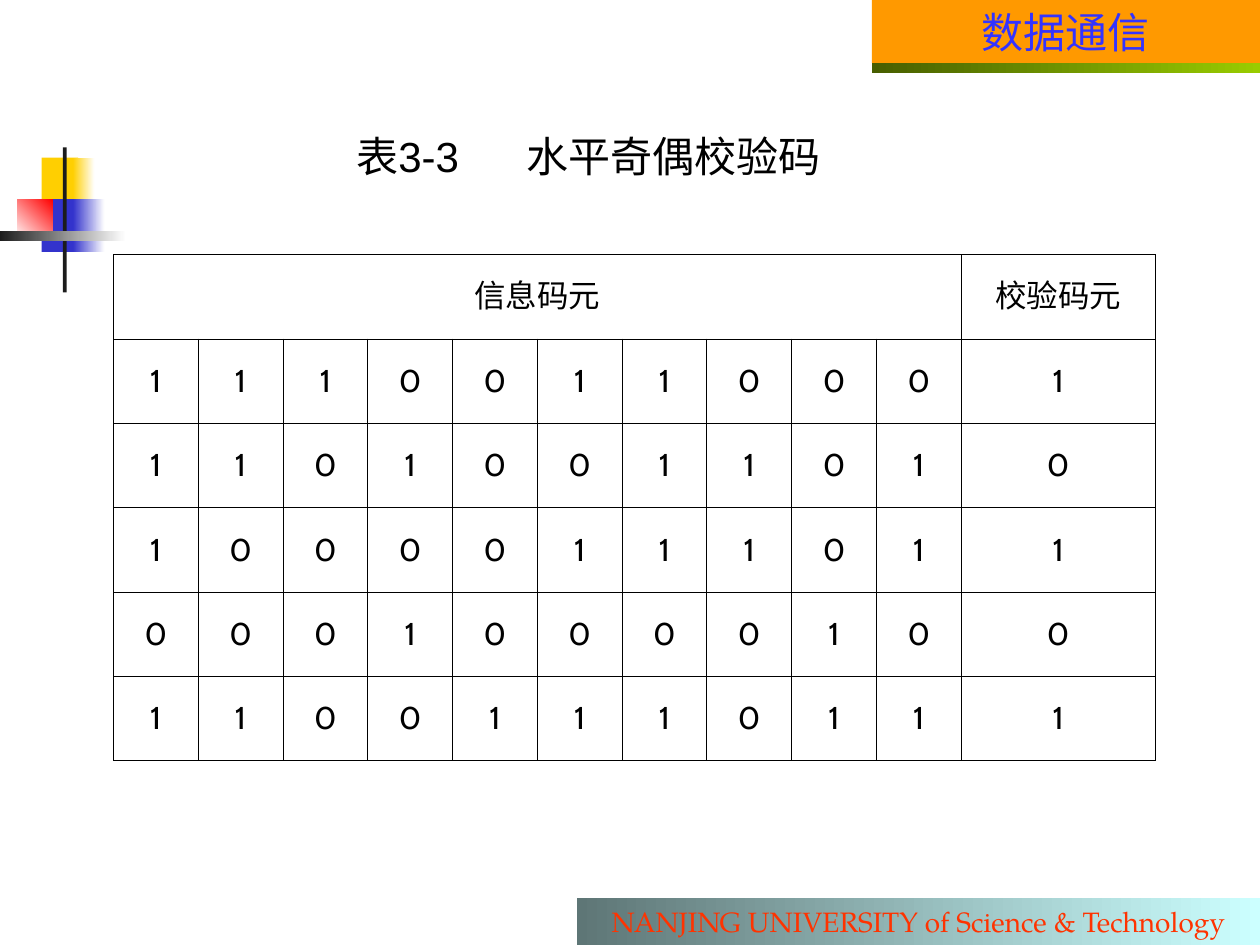
from lxml import etree
from pptx import Presentation
from pptx.dml.color import RGBColor
from pptx.enum.shapes import MSO_SHAPE
from pptx.enum.text import MSO_ANCHOR, PP_ALIGN
from pptx.oxml.ns import qn
from pptx.util import Inches, Pt

RECTANGLE = MSO_SHAPE.RECTANGLE
CENTER = PP_ALIGN.CENTER
MIDDLE = MSO_ANCHOR.MIDDLE

BODY_FONT = "Cabin"
CJK_FONT = "Noto Sans CJK SC"
PARITY_ROWS = [
    "11100110001",
    "11010011010",
    "10000111011",
    "00010000100",
    "11001110111",
]


def rgb(hex_color):
    return RGBColor.from_string(hex_color)


def style_font(font, name, size, color):
    """Set the typeface for both Latin and East Asian characters."""
    font.name = name
    font.size = Pt(size)
    font.color.rgb = rgb(color)
    latin = font._element.find(qn("a:latin"))
    east_asian = etree.Element(qn("a:ea"), typeface=name)
    latin.addnext(east_asian)


def add_block(slide, left, top, width, height, colors, angle=0):
    """Add a borderless rectangle; two colors make a gradient."""
    block = slide.shapes.add_shape(
        RECTANGLE, Inches(left), Inches(top), Inches(width), Inches(height))
    block.shadow.inherit = False
    block.line.fill.background()
    if len(colors) == 1:
        block.fill.solid()
        block.fill.fore_color.rgb = rgb(colors[0])
    else:
        block.fill.gradient()
        block.fill.gradient_angle = angle
        for stop, color in zip(block.fill.gradient_stops, colors):
            stop.color.rgb = rgb(color)
    return block


def label_block(block, text, font_name, size, color):
    frame = block.text_frame
    frame.word_wrap = True
    frame.vertical_anchor = MIDDLE
    paragraph = frame.paragraphs[0]
    paragraph.text = text
    paragraph.alignment = CENTER
    style_font(paragraph.font, font_name, size, color)


def add_ornament(slide, left, top):
    """Overlapping colored squares crossed by two dark bars."""
    add_block(slide, left + 0.33, top + 0.08, 0.29, 0.38, ["FFCF01"])
    add_block(slide, left + 0.58, top + 0.08, 0.17, 0.42, ["FFCF01", "FFFFFF"])
    add_block(slide, left + 0.33, top + 0.41, 0.25, 0.42, ["3333CC"])
    add_block(slide, left + 0.58, top + 0.41, 0.25, 0.42, ["3333CC", "FFFFFF"])
    add_block(slide, left + 0.14, top + 0.41, 0.28, 0.33, ["FFFFFF", "FF0000"], 45)
    add_block(slide, left + 0.5, top, 0.03, 1.15, ["1C1C1C"])
    add_block(slide, left, top + 0.66, 1, 0.08, ["1C1C1C", "FFFFFF"])


def add_course_banner(slide, left, top, width, height):
    banner = add_block(slide, left, top, width, height, ["FF9900"])
    label_block(banner, "数据通信", BODY_FONT, 24, "3333FF")
    add_block(slide, left, top + height, width, 0.08, ["475E00", "99CC00"])


def add_footer(slide, left, top, width, height):
    footer = add_block(slide, left, top, width, height, ["5E7676", "CCFFFF"])
    label_block(footer, "NANJING UNIVERSITY of Science & Technology",
                "TeX Gyre Pagella", 16, "FF3300")


def add_caption(slide, left, top, width, height):
    caption = slide.shapes.add_textbox(
        Inches(left), Inches(top), Inches(width), Inches(height))
    frame = caption.text_frame
    frame.word_wrap = True
    frame.margin_right = 0
    paragraph = frame.paragraphs[0]
    tabs = etree.SubElement(paragraph._p.get_or_add_pPr(), qn("a:tabLst"))
    etree.SubElement(tabs, qn("a:tab"), pos=str(Inches(1.35)), algn="l")
    for text, font_name in [("表", CJK_FONT), ("3-3\t", "Arial"),
                            ("水平奇偶校验码", CJK_FONT)]:
        run = paragraph.add_run()
        run.text = text
        style_font(run.font, font_name, 24, "000000")


def border_cell(cell):
    properties = cell._tc.get_or_add_tcPr()
    for position, side in enumerate(("lnL", "lnR", "lnT", "lnB")):
        line = etree.Element(qn(f"a:{side}"), w=str(Pt(0.45)))
        fill = etree.SubElement(line, qn("a:solidFill"))
        etree.SubElement(fill, qn("a:srgbClr"), val="000000")
        properties.insert(position, line)


def fill_cell(cell, text):
    cell.text = text
    cell.vertical_anchor = MIDDLE
    paragraph = cell.text_frame.paragraphs[0]
    paragraph.alignment = CENTER
    style_font(paragraph.font, BODY_FONT, 18, "000000")


def add_parity_table(slide, left, top, width, height, check_width):
    data_count = len(PARITY_ROWS[0]) - 1
    header = ["信息码元"] + [""] * (data_count - 1) + ["校验码元"]
    rows = [header] + PARITY_ROWS
    table = slide.shapes.add_table(
        len(rows), data_count + 1,
        Inches(left), Inches(top), Inches(width), Inches(height)).table
    table.first_row = False
    table.horz_banding = False
    for index, column in enumerate(table.columns):
        is_data = index < data_count
        column.width = Inches((width - check_width) / data_count if is_data else check_width)
    for row_index, values in enumerate(rows):
        for column_index, value in enumerate(values):
            cell = table.cell(row_index, column_index)
            cell.fill.background()
            border_cell(cell)
            fill_cell(cell, value)
    table.cell(0, 0).merge(table.cell(0, data_count - 1))


def main():
    presentation = Presentation()
    presentation.slide_width = Inches(10)
    presentation.slide_height = Inches(7.5)
    slide = presentation.slides.add_slide(presentation.slide_layouts[6])
    add_ornament(slide, 0, 1.17)
    add_course_banner(slide, 6.92, 0, 3.08, 0.5)
    add_footer(slide, 4.58, 7.13, 5.42, 0.37)
    add_parity_table(slide, 0.9, 2.02, 8.27, 4.02, check_width=1.54)
    add_caption(slide, 2.73, 0.99, 3.88, 0.5)
    presentation.save("out.pptx")


if __name__ == "__main__":
    main()
